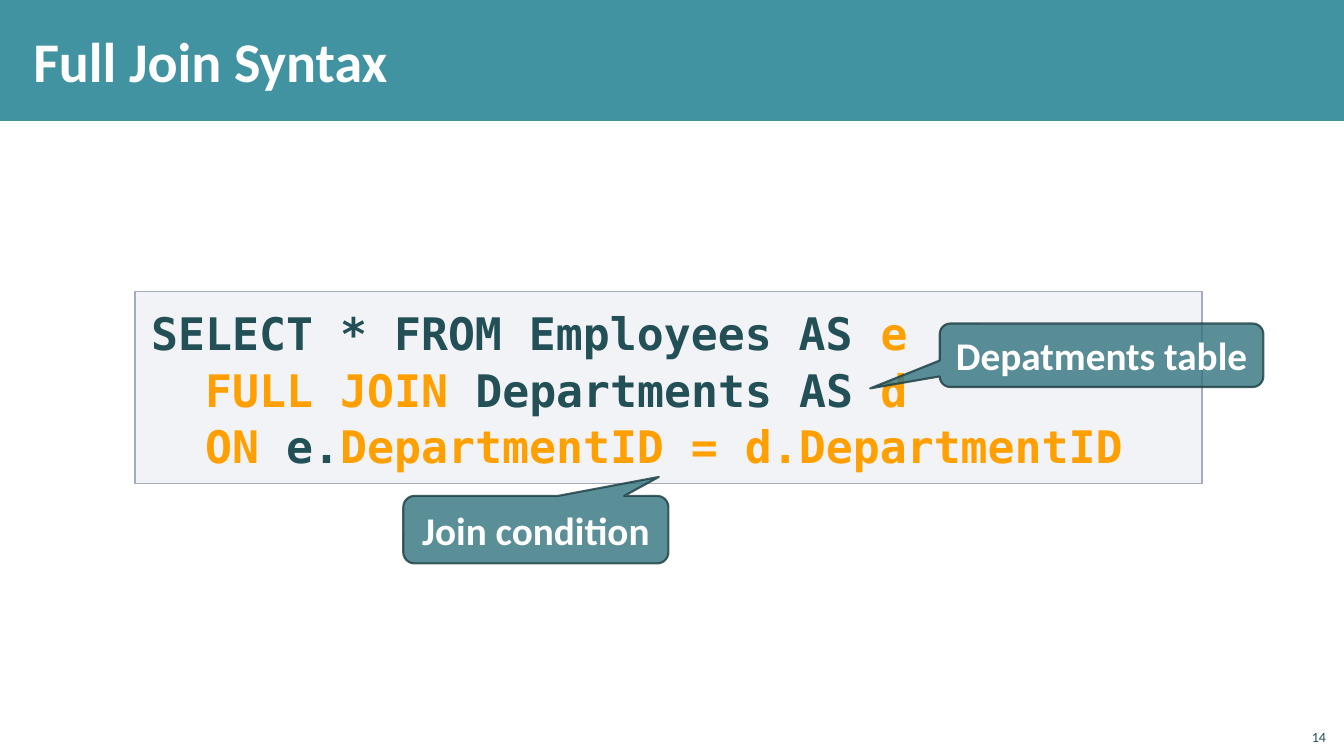
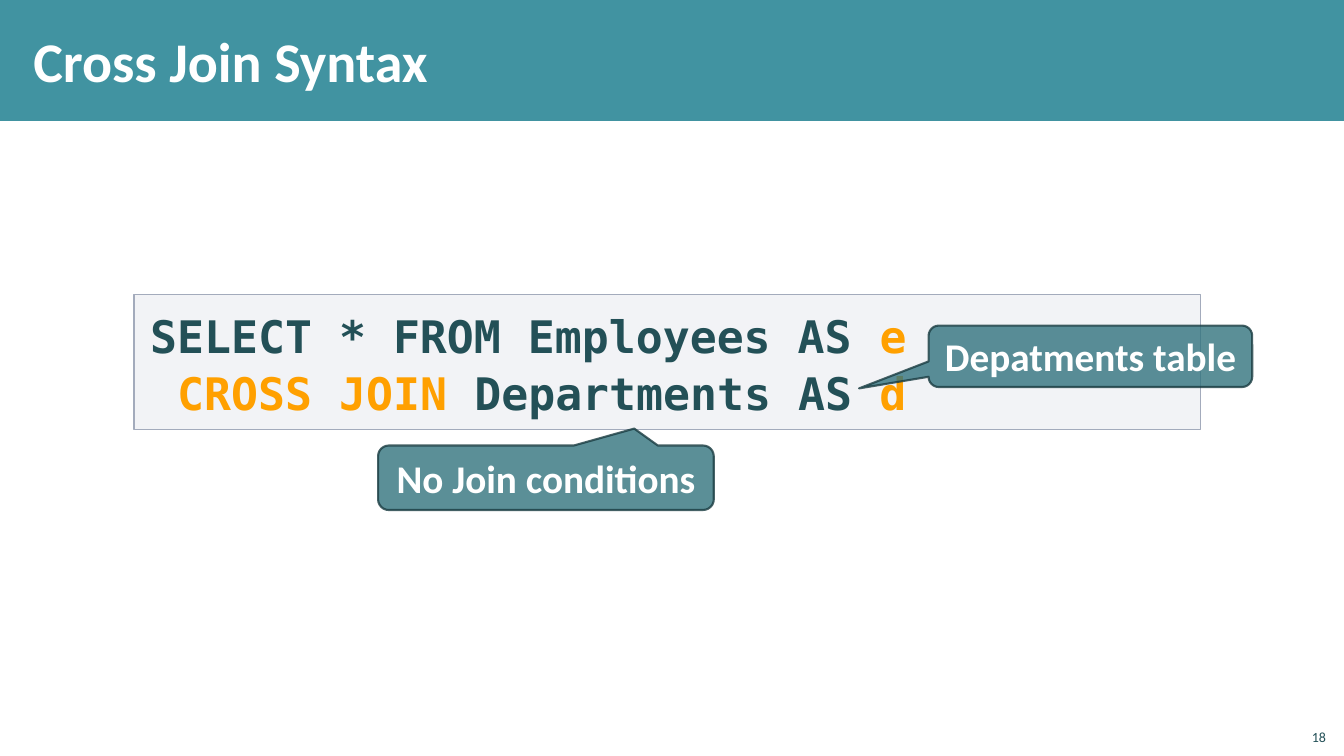
from lxml.etree import SubElement
from pptx import Presentation
from pptx.dml.color import RGBColor
from pptx.enum.shapes import MSO_SHAPE
from pptx.enum.text import MSO_ANCHOR, PP_ALIGN
from pptx.oxml.ns import qn
from pptx.util import Inches, Pt

WIDTH, HEIGHT = 13.33, 7.5
BAND_HEIGHT = 1.2
TEAL, DEEP_TEAL, DARK_LINE = "4193A1", "32737E", "1A3C41"
INK, ORANGE, WHITE = "235057", "FFA000", "FFFFFF"
CODE_FILL, CODE_LINE = "C2C7D2", "A3ABBC"
TEXT_FONT, CODE_FONT = "Calibri", "DejaVu Sans Mono"
CODE_SIZE = 32
CODE_CHARACTER = 0.602 * CODE_SIZE / 72  # advance of one letter, in inches

# Code lines are (indent in letters, runs); callouts are (text, box, tip offset).
SELECT_LINE = (0, [("SELECT * FROM Employees AS ", INK), ("e", ORANGE)])
SLIDES = [
    {
        "title": "Full Join Syntax",
        "number": "14",
        "code_box": (1.34, 2.89, 10.58, 1.91),
        "code": [
            SELECT_LINE,
            (2, [("FULL JOIN ", ORANGE), ("Departments AS ", INK), ("d", ORANGE)]),
            (2, [("ON ", ORANGE), ("e.", INK), ("DepartmentID = d.DepartmentID", ORANGE)]),
        ],
        "callouts": [
            ("Depatments table", (9.32, 3.21, 3.21, 0.63), (-0.715, 0.522)),
            ("Join condition", (4, 4.92, 2.63, 0.67), (0.464, -0.781)),
        ],
    },
    {
        "title": "Cross Join Syntax",
        "number": "18",
        "code_box": (1.33, 2.92, 10.58, 1.34),
        "code": [
            SELECT_LINE,
            (1, [("CROSS JOIN ", ORANGE), ("Departments AS ", INK), ("d", ORANGE)]),
        ],
        "callouts": [
            ("Depatments table", (9.21, 3.23, 3.21, 0.61), (-0.715, 0.522)),
            ("No Join conditions", (3.75, 4.42, 3.33, 0.64), (0.263, -0.762)),
        ],
    },
]


def color(hex_code):
    return RGBColor.from_string(hex_code)


def place(shape, box):
    shape.left, shape.top, shape.width, shape.height = map(Inches, box)


def set_alpha(shape, percent, tag):
    """Make every colour below the given tag of the shape partly transparent."""
    for node in shape.element.spPr.findall(f"{tag}/{qn('a:srgbClr')}"):
        SubElement(node, qn("a:alpha")).set("val", str(percent * 1000))


def add_box(slide, kind, box, fill, line=None, line_width=1, fill_alpha=100, line_alpha=100):
    shape = slide.shapes.add_shape(kind, *map(Inches, box))
    shape.shadow.inherit = False
    shape.fill.solid()
    shape.fill.fore_color.rgb = color(fill)
    if line:
        shape.line.color.rgb = color(line)
        shape.line.width = Pt(line_width)
    else:
        shape.line.fill.background()
    if fill_alpha < 100:
        set_alpha(shape, fill_alpha, qn("a:solidFill"))
    if line_alpha < 100:
        set_alpha(shape, line_alpha, f"{qn('a:ln')}/{qn('a:solidFill')}")
    return shape


def write(shape, lines, size, font=TEXT_FONT, bold=True, align=PP_ALIGN.LEFT,
          anchor=MSO_ANCHOR.MIDDLE, insets=(0.1, 0.05), spacing=1.0):
    """Fill a shape with lines, each an indent in letters and (text, colour) runs."""
    frame = shape.text_frame
    frame.word_wrap = True
    frame.vertical_anchor = anchor
    frame.margin_left = frame.margin_right = Inches(insets[0])
    frame.margin_top = frame.margin_bottom = Inches(insets[1])
    for index, (indent, runs) in enumerate(lines):
        paragraph = frame.add_paragraph() if index else frame.paragraphs[0]
        paragraph.alignment = align
        paragraph.line_spacing = spacing
        if indent:
            properties = paragraph._p.get_or_add_pPr()
            properties.set("marL", str(Inches(indent * CODE_CHARACTER)))
            properties.set("indent", "0")
        for text, text_color in runs:
            run = paragraph.add_run()
            run.text = text
            run.font.size = Pt(size)
            run.font.name = font
            run.font.bold = bold
            run.font.color.rgb = color(text_color)


def add_callout(slide, text, box, tip):
    callout = add_box(slide, MSO_SHAPE.ROUNDED_RECTANGULAR_CALLOUT, box, DEEP_TEAL,
                      line=DARK_LINE, line_width=1.5, fill_alpha=80, line_alpha=80)
    callout.adjustments[0], callout.adjustments[1] = tip
    write(callout, [(0, [(text, WHITE)])], 28, align=PP_ALIGN.CENTER)


def add_syntax_slide(presentation, layout, content):
    slide = presentation.slides.add_slide(layout)
    title = slide.shapes.title
    place(title, (0.21, 0.11, 10.71, 0.97))
    write(title, [(0, [(content["title"], WHITE)])], 40, insets=(0.12, 0.04))

    code = add_box(slide, MSO_SHAPE.RECTANGLE, content["code_box"], CODE_FILL,
                   line=CODE_LINE, fill_alpha=20)
    write(code, content["code"], CODE_SIZE, font=CODE_FONT, anchor=MSO_ANCHOR.TOP,
          insets=(0.16, 0.12), spacing=1.05)
    for text, box, tip in content["callouts"]:
        add_callout(slide, text, box, tip)

    number = slide.shapes.add_textbox(*map(Inches, (12.85, 7.12, 0.4, 0.32)))
    write(number, [(0, [(content["number"], INK)])], 10, bold=False,
          align=PP_ALIGN.RIGHT, anchor=MSO_ANCHOR.BOTTOM)
    return slide


def main():
    presentation = Presentation()
    presentation.slide_width, presentation.slide_height = Inches(WIDTH), Inches(HEIGHT)
    layout = presentation.slide_layouts.get_by_name("Title Only")
    slides = [add_syntax_slide(presentation, layout, content) for content in SLIDES]

    # The band is drawn once and moved to the back of the shared layout.
    band = add_box(slides[0], MSO_SHAPE.RECTANGLE, (0, 0, WIDTH, BAND_HEIGHT), TEAL)
    layout.shapes.element.insert(2, band.element)
    presentation.save("out.pptx")


if __name__ == "__main__":
    main()
